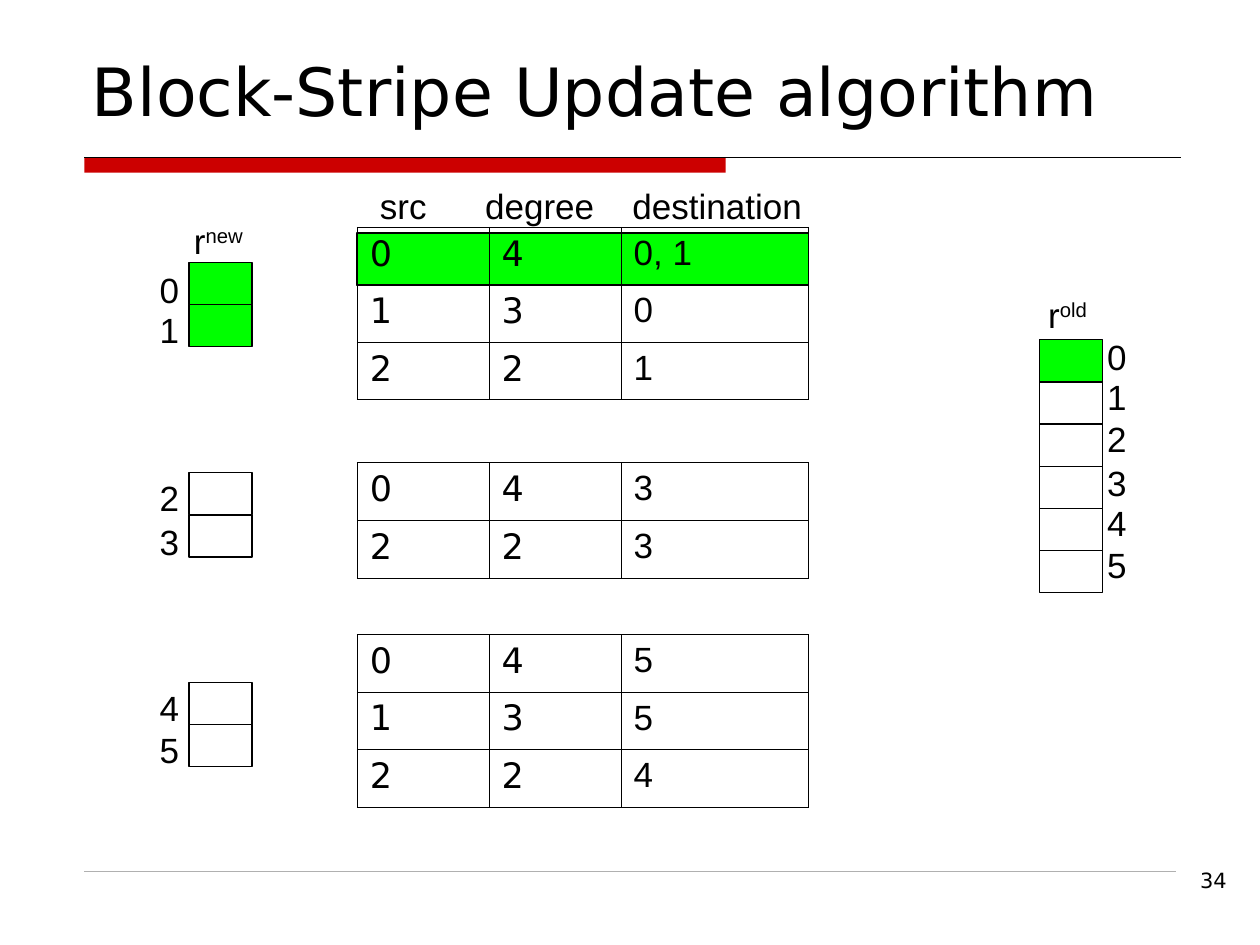
"""Build the Block-Stripe Update algorithm slide."""
from lxml import etree
from pptx import Presentation
from pptx.dml.color import RGBColor
from pptx.enum.shapes import MSO_CONNECTOR, MSO_SHAPE
from pptx.enum.text import MSO_ANCHOR, MSO_AUTO_SIZE, PP_ALIGN
from pptx.oxml.ns import qn
from pptx.util import Cm, Pt

RECTANGLE = MSO_SHAPE.RECTANGLE
STRAIGHT = MSO_CONNECTOR.STRAIGHT
BOTTOM = MSO_ANCHOR.BOTTOM
NO_RESIZE = MSO_AUTO_SIZE.NONE
LEFT, RIGHT = PP_ALIGN.LEFT, PP_ALIGN.RIGHT
BLACK, GRAY, GREEN, RED = "000000", "B0B0B0", "00FF00", "CC0000"
SANS, ARIAL = "DejaVu Sans", "Arial"


def paint(fill, color):
    fill.solid()
    fill.fore_color.rgb = RGBColor.from_string(color)


def write(frame, text, size=20, font=ARIAL, align=LEFT, before=0, superscript=""):
    paragraph = frame.paragraphs[0]
    paragraph.alignment = align
    paragraph.space_before = Pt(before)
    for part in filter(None, (text, superscript)):
        run = paragraph.add_run()
        run.text = part
        run.font.size = Pt(size)
        run.font.name = font
        paint(run.font.fill, BLACK)
    if superscript:
        run.font._element.set("baseline", "30000")


deck = Presentation()
deck.slide_width, deck.slide_height = Cm(25.4), Cm(19.05)
slide = deck.slides.add_slide(deck.slide_layouts[5])
shapes = slide.shapes

title = shapes.title
title.left, title.top, title.width, title.height = Cm(1.6), Cm(0.42), Cm(22.23), Cm(2.33)
title.text_frame.vertical_anchor = BOTTOM
title.text_frame.auto_size = NO_RESIZE
write(title.text_frame, "Block-Stripe Update algorithm", size=38, font=SANS)

banner = shapes.add_shape(RECTANGLE, Cm(1.7), Cm(3.18), Cm(12.93), Cm(0.3))
banner.shadow.inherit = False
paint(banner.fill, RED)
banner.line.fill.background()

for rule_top, rule_end, weight, color in [(3.18, 23.8, 0.75, BLACK), (17.57, 23.7, 0.25, GRAY)]:
    rule = shapes.add_connector(STRAIGHT, Cm(1.7), Cm(rule_top), Cm(rule_end), Cm(rule_top))
    rule.line.width = Pt(weight)
    paint(rule.line.fill, color)
    etree.SubElement(rule._element.spPr, qn("a:effectLst"))

page_number = shapes.add_textbox(Cm(19.69), Cm(17.36), Cm(5.29), Cm(1.27))
page_number.text_frame.word_wrap = True
write(page_number.text_frame, "34", size=12, font=SANS, align=RIGHT)

blocks = [(7.2, 4.7, 9.1, 1.06, GREEN)]
for group_top, color in [(5.29, GREEN), (9.53, None), (13.76, None)]:
    blocks += [(3.81, group_top + 0.85 * i, 1.27, 0.85, color) for i in range(2)]
blocks += [(20.96, 6.85 + 0.85 * i, 1.27, 0.85, None if i else GREEN) for i in range(6)]
for left, top, width, height, color in blocks:
    block = shapes.add_shape(RECTANGLE, Cm(left), Cm(top), Cm(width), Cm(height))
    block.shadow.inherit = False
    block.line.width = Pt(0.75)
    paint(block.line.fill, BLACK)
    if color:
        paint(block.fill, color)
    else:
        block.fill.background()

stripes = [
    (4.58, [("0", "4", "0, 1"), ("1", "3", "0"), ("2", "2", "1")]),
    (9.33, [("0", "4", "3"), ("2", "2", "3")]),
    (12.79, [("0", "4", "5"), ("1", "3", "5"), ("2", "2", "4")]),
]
for top, entries in stripes:
    stripe = shapes.add_table(len(entries), 3, Cm(7.2), Cm(top), Cm(9.1), Cm(1.16 * len(entries))).table
    stripe.first_row = stripe.horz_banding = False
    for column, width in zip(stripe.columns, (2.66, 2.66, 3.78)):
        column.width = Cm(width)
    for row, entry in zip(stripe.rows, entries):
        row.height = Cm(1.16)
        for cell, value, font in zip(row.cells, entry, (SANS, SANS, ARIAL)):
            write(cell.text_frame, value, font=font, before=5)
            properties = cell._tc.get_or_add_tcPr()
            for side in ("a:lnL", "a:lnR", "a:lnT", "a:lnB"):
                border = etree.SubElement(properties, qn(side), w=str(Pt(0.45)))
                border_fill = etree.SubElement(border, qn("a:solidFill"))
                etree.SubElement(border_fill, qn("a:srgbClr"), val=BLACK)
            cell.fill.background()

labels = [
    ("src", "", 7.41, 3.6, 1.6),
    ("degree", "", 9.53, 3.6, 2.9),
    ("destination", "", 12.5, 3.6, 4.2),
    ("r", "new", 3.66, 4.3, 1.7),
    ("r", "old", 20.88, 5.79, 1.5),
]
index_columns = [
    (2.97, (5.28, 6.1, 9.48, 10.36, 13.72, 14.56)),
    (22.07, (6.63, 7.44, 8.29, 9.17, 9.98, 10.83)),
]
for left, tops in index_columns:
    labels += [(str(index), "", left, top, 1) for index, top in enumerate(tops)]
for text, superscript, left, top, width in labels:
    label = shapes.add_textbox(Cm(left), Cm(top), Cm(width), Cm(1.11))
    label.text_frame.word_wrap = True
    write(label.text_frame, text, superscript=superscript)

deck.save("out.pptx")
